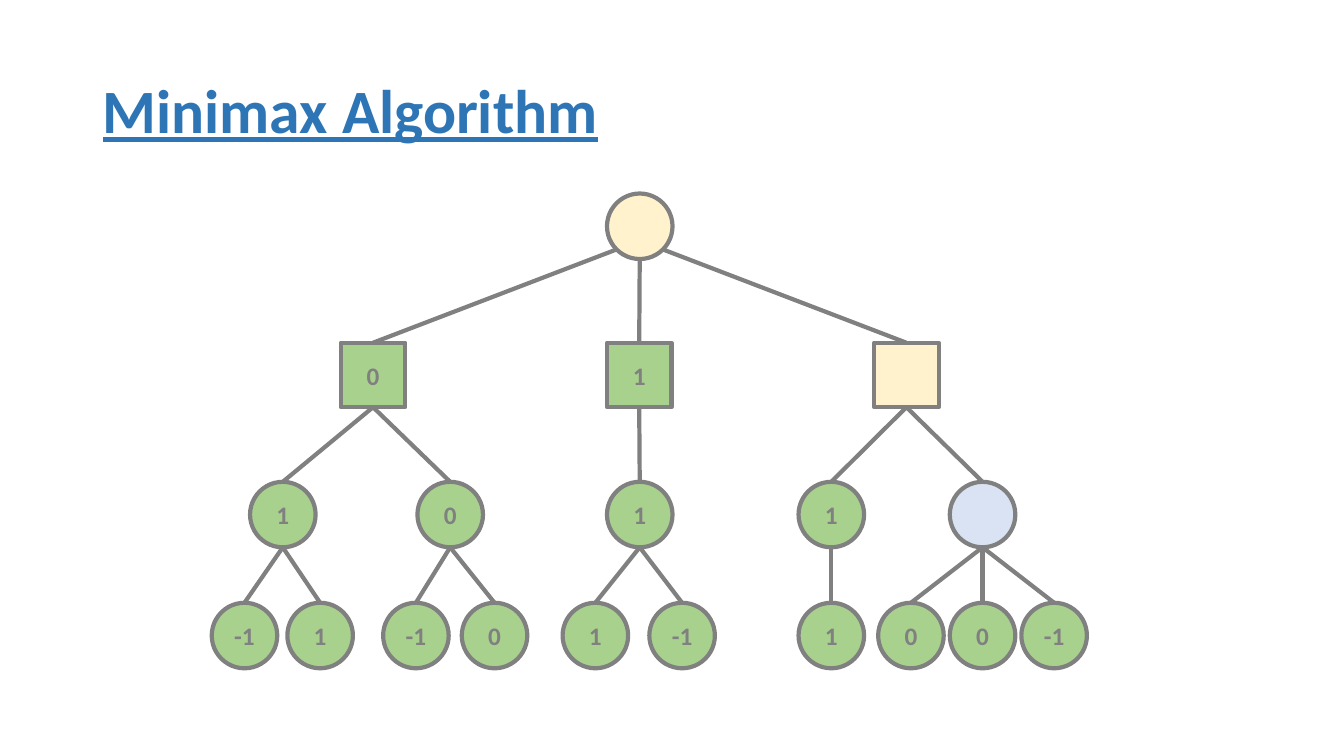
from collections import namedtuple
from math import sqrt

from lxml import etree
from pptx import Presentation
from pptx.dml.color import RGBColor
from pptx.enum import shapes, text
from pptx.oxml.ns import qn
from pptx.util import Inches, Pt

GREY, BLUE = "808080", "2E75B6"
SOLVED, OPEN, CURRENT = "A9D18E", "FFF2CC", "DAE3F3"
LEVEL_TOPS = [1.92, 3.4, 4.78, 5.98]
SQUARE_LEVEL = 1
CIRCLE, SQUARE = 0.65, 0.64

Node = namedtuple("Node", "left value children fill", defaults=("", (), SOLVED))

TREE = Node(6.02, fill=OPEN, children=[
    Node(3.38, "0", [
        Node(2.48, "1", [Node(2.1, "-1"), Node(2.85, "1")]),
        Node(4.14, "0", [Node(3.8, "-1"), Node(4.58, "0")]),
    ]),
    Node(6.02, "1", [
        Node(6.02, "1", [Node(5.58, "1"), Node(6.44, "-1")]),
    ]),
    Node(8.67, fill=OPEN, children=[
        Node(7.92, "1", [Node(7.92, "1")]),
        Node(9.42, fill=CURRENT, children=[
            Node(8.71, "0"), Node(9.42, "0"), Node(10.13, "-1"),
        ]),
    ]),
])


def rgb(value):
    return RGBColor.from_string(value)


def style_font(font, color, **values):
    font.color.rgb = rgb(color)
    for name, value in {"name": "Calibri", "bold": True, **values}.items():
        setattr(font, name, value)


def style_line(line):
    line.color.rgb = rgb(GREY)
    line.width = Pt(3)


def add_title(slide, wording):
    title = slide.shapes.title
    box = {"left": 0.92, "top": 0.4, "width": 11.5, "height": 1.45}
    for name, value in box.items():
        setattr(title, name, Inches(value))
    frame = title.text_frame
    frame.text = wording
    frame.auto_size = text.MSO_AUTO_SIZE.NONE
    frame.vertical_anchor = text.MSO_ANCHOR.MIDDLE
    heading = frame.paragraphs[0]
    heading.alignment = text.PP_ALIGN.LEFT
    heading.line_spacing = 0.9
    style_font(heading.runs[0].font, BLUE, size=Pt(44), underline=True)


def add_node(slide, node, level):
    square = level == SQUARE_LEVEL
    kind = shapes.MSO_SHAPE.RECTANGLE if square else shapes.MSO_SHAPE.OVAL
    size = Inches(SQUARE if square else CIRCLE)
    shape = slide.shapes.add_shape(
        kind, Inches(node.left), Inches(LEVEL_TOPS[level]), size, size)
    shape.shadow.inherit = False
    shape.fill.solid()
    shape.fill.fore_color.rgb = rgb(node.fill)
    style_line(shape.line)
    if node.value:
        frame = shape.text_frame
        frame.text = node.value
        frame.vertical_anchor = text.MSO_ANCHOR.MIDDLE
        label = frame.paragraphs[0]
        label.alignment = text.PP_ALIGN.CENTER
        style_font(label.runs[0].font, GREY, size=Pt(18))
    return shape


def add_branch(slide, parent, child, side, level):
    """Join parent to the child's top; the root's outer branches leave its diagonals."""
    x = parent.left + parent.width // 2
    y = parent.top + parent.height
    if level == 0 and side:
        reach = parent.width / 2 / sqrt(2)
        x = int(x + side * reach)
        y = int(parent.top + parent.height / 2 + reach)
    branch = slide.shapes.add_connector(
        shapes.MSO_CONNECTOR.STRAIGHT, x, y, child.left + child.width // 2, child.top)
    if level == SQUARE_LEVEL:
        branch.begin_connect(parent, 2)
    branch.end_connect(child, 0)
    style_line(branch.line)
    etree.SubElement(branch.element.spPr, qn("a:effectLst"))


def add_tree(slide, node, level=0):
    parent = add_node(slide, node, level)
    for child_node in node.children:
        child = add_tree(slide, child_node, level + 1)
        side = (child_node.left > node.left) - (child_node.left < node.left)
        add_branch(slide, parent, child, side, level)
    return parent


def main():
    deck = Presentation()
    deck.slide_width, deck.slide_height = Inches(13.33), Inches(7.5)
    slide = deck.slides.add_slide(deck.slide_layouts.get_by_name("Title Only"))
    add_title(slide, "Minimax Algorithm")
    add_tree(slide, TREE)
    deck.save("out.pptx")


if __name__ == "__main__":
    main()
